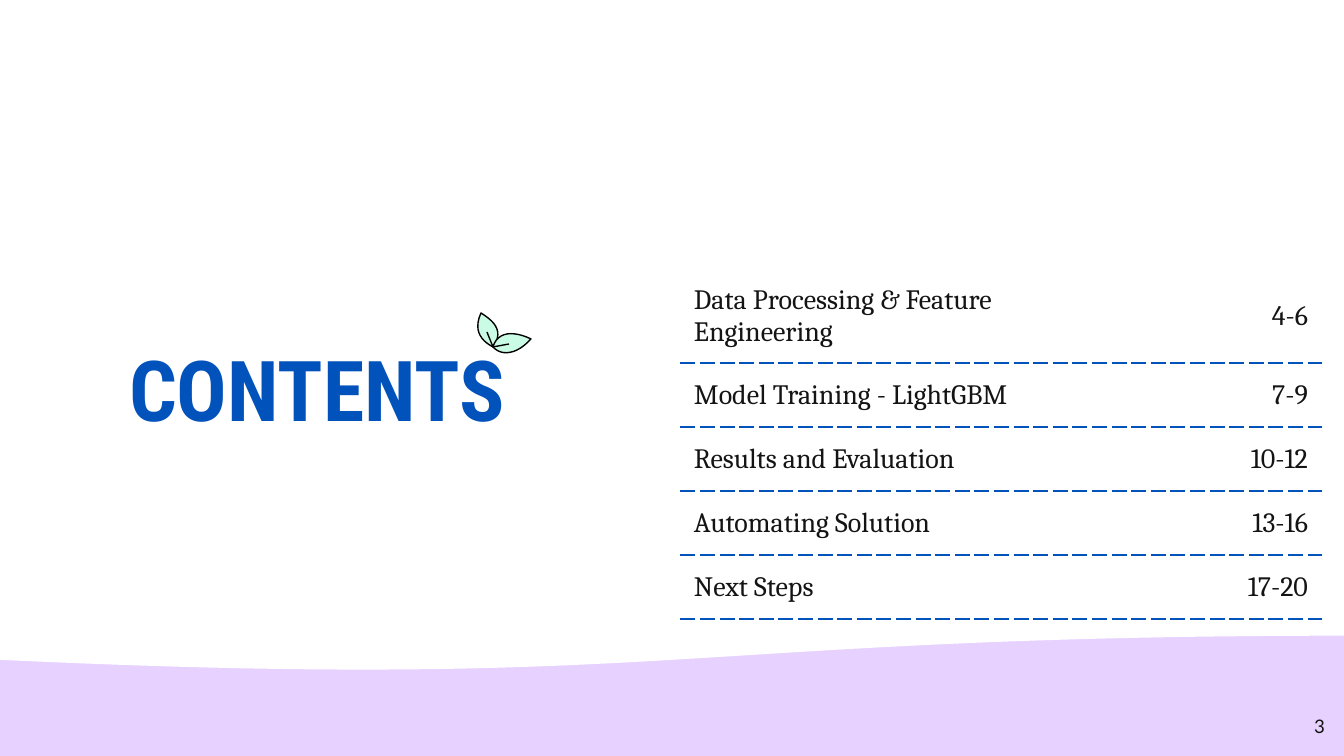
from lxml import etree
from pptx import Presentation
from pptx.dml.color import RGBColor
from pptx.enum.shapes import MSO_CONNECTOR as Connector, MSO_SHAPE as Preset
from pptx.enum.text import MSO_ANCHOR as Anchor, PP_ALIGN as Align
from pptx.oxml.ns import qn
from pptx.util import Pt

PX = 914400 / 134.4
SLIDE = (1344, 756)

THEME = {
    "ground": "E7D2FF", "paper": "FFFFFF", "accent": "0252BB", "ink": "141414",
    "leaf": "CAFCE5", "outline": "000000",
    "title": ("Roboto Condensed", 45), "body": ("Cambria", 15), "number": ("Lato", 10),
}

TITLE = "CONTENTS"
PAGE_NUMBER = "3"
CONTENTS = [
    ("Data Processing & Feature Engineering", "4-6"),
    ("Model Training - LightGBM", "7-9"),
    ("Results and Evaluation", "10-12"),
    ("Automating Solution", "13-16"),
    ("Next Steps", "17-20"),
]

BACKDROP = [
    (Preset.FLOWCHART_DOCUMENT, (0, 489, 1350, 183)),
    (Preset.RECTANGLE, (0, 0, 1350, 634)),
]
TITLE_BOX = (129, 336, 390, 85)
NUMBER_BOX = (1258, 698, 80, 57)
TABLE_AT = (681, 270)
COLUMNS = (450, 190)
FIRST_ROW, ROW = 91, 64
INSET = 13

LEAF_BASE = (493, 347)
LEAVES = [
    {"tip": (481, 313), "out": [(506, 329), (490, 319)], "back": [(472, 333), (484, 342)],
     "vein": (487, 332)},
    {"tip": (531, 339), "out": [(498, 331), (514, 331)], "back": [(518, 354), (502, 357)],
     "vein": (509, 344)},
]
CURVE_STEPS = 12


def px(*lengths):
    return [round(length * PX) for length in lengths]


def color(name):
    return RGBColor.from_string(THEME[name])


def style(paragraph, face, ink, align=Align.LEFT, bold=False):
    paragraph.alignment = align
    for run in paragraph.runs:
        run.font.name, size = THEME[face]
        run.font.size = Pt(size)
        run.font.bold = bold
        run.font.color.rgb = color(ink)


def paint(shape, fill):
    shape.shadow.inherit = False
    shape.fill.solid()
    shape.fill.fore_color.rgb = color(fill)


def curve(start, handles, end):
    points = [start, *handles, end]
    for step in range(1, CURVE_STEPS + 1):
        t = step / CURVE_STEPS
        weights = ((1 - t) ** 3, 3 * t * (1 - t) ** 2, 3 * t * t * (1 - t), t ** 3)
        yield px(*(sum(w * p[axis] for w, p in zip(weights, points)) for axis in (0, 1)))


def add_leaf(shapes, leaf):
    builder = shapes.build_freeform(*px(*LEAF_BASE))
    edge = [*curve(LEAF_BASE, leaf["out"], leaf["tip"]),
            *curve(leaf["tip"], leaf["back"], LEAF_BASE)]
    builder.add_line_segments(edge, close=True)
    blade = builder.convert_to_shape()
    paint(blade, "leaf")
    vein = shapes.add_connector(Connector.STRAIGHT, *px(*LEAF_BASE, *leaf["vein"]))
    etree.SubElement(vein._element.spPr, qn("a:effectLst"))
    for part in (blade, vein):
        part.line.color.rgb = color("outline")
        part.line.width = Pt(0.75)


def set_borders(cell, sides):
    properties = cell._tc.get_or_add_tcPr()
    for position, (side, (ink, points, dash)) in enumerate(sides.items()):
        line = etree.Element(qn(f"a:{side}"), w=str(Pt(points)))
        fill = etree.SubElement(line, qn("a:solidFill"))
        etree.SubElement(fill, qn("a:srgbClr"), val=THEME[ink])
        etree.SubElement(line, qn("a:prstDash"), val=dash)
        properties.insert(position, line)


def add_contents(shapes):
    heights = [FIRST_ROW] + [ROW] * (len(CONTENTS) - 1)
    frame = shapes.add_table(len(CONTENTS), len(COLUMNS),
                             *px(*TABLE_AT, sum(COLUMNS), sum(heights)))
    table = frame.table
    table.first_row = table.horz_banding = False
    for column, width in zip(table.columns, px(*COLUMNS)):
        column.width = width
    plain, dashed = ("paper", 0.75, "solid"), ("accent", 1.5, "dash")
    for index, (entry, height) in enumerate(zip(CONTENTS, px(*heights))):
        table.rows[index].height = height
        for cell, words, align in zip(table.rows[index].cells, entry, (Align.LEFT, Align.RIGHT)):
            cell.text_frame.text = words
            style(cell.text_frame.paragraphs[0], "body", "ink", align)
            cell.vertical_anchor = Anchor.MIDDLE
            cell.margin_left, cell.margin_right, cell.margin_top, cell.margin_bottom = px(*[INSET] * 4)
            cell.fill.background()
            set_borders(cell, {"lnL": plain, "lnR": plain,
                               "lnT": dashed if index else plain, "lnB": dashed})


def place_text(box, at, words, insets, anchor):
    box.left, box.top, box.width, box.height = px(*at)
    frame = box.text_frame
    frame.text = words
    frame.word_wrap = True
    frame.vertical_anchor = anchor
    frame.margin_left, frame.margin_top, frame.margin_right, frame.margin_bottom = px(*insets)
    return frame.paragraphs[0]


def main():
    deck = Presentation()
    deck.slide_width, deck.slide_height = px(*SLIDE)
    slide = deck.slides.add_slide(deck.slide_layouts[5])
    shapes = slide.shapes
    slide.background.fill.solid()
    slide.background.fill.fore_color.rgb = color("ground")

    for preset, at in BACKDROP:
        panel = shapes.add_shape(preset, *px(*at))
        paint(panel, "paper")
        panel.line.fill.background()

    title = shapes.title
    shapes._spTree.append(title._element)
    heading = place_text(title, TITLE_BOX, TITLE, (0, INSET, 0, INSET), Anchor.TOP)
    heading.line_spacing = 0.9
    style(heading, "title", "accent", bold=True)

    number_box = shapes.add_textbox(*px(*NUMBER_BOX))
    number = place_text(number_box, NUMBER_BOX, PAGE_NUMBER, [INSET] * 4, Anchor.MIDDLE)
    style(number, "number", "ink", Align.RIGHT)

    for leaf in LEAVES:
        add_leaf(shapes, leaf)
    add_contents(shapes)
    deck.save("out.pptx")


if __name__ == "__main__":
    main()
